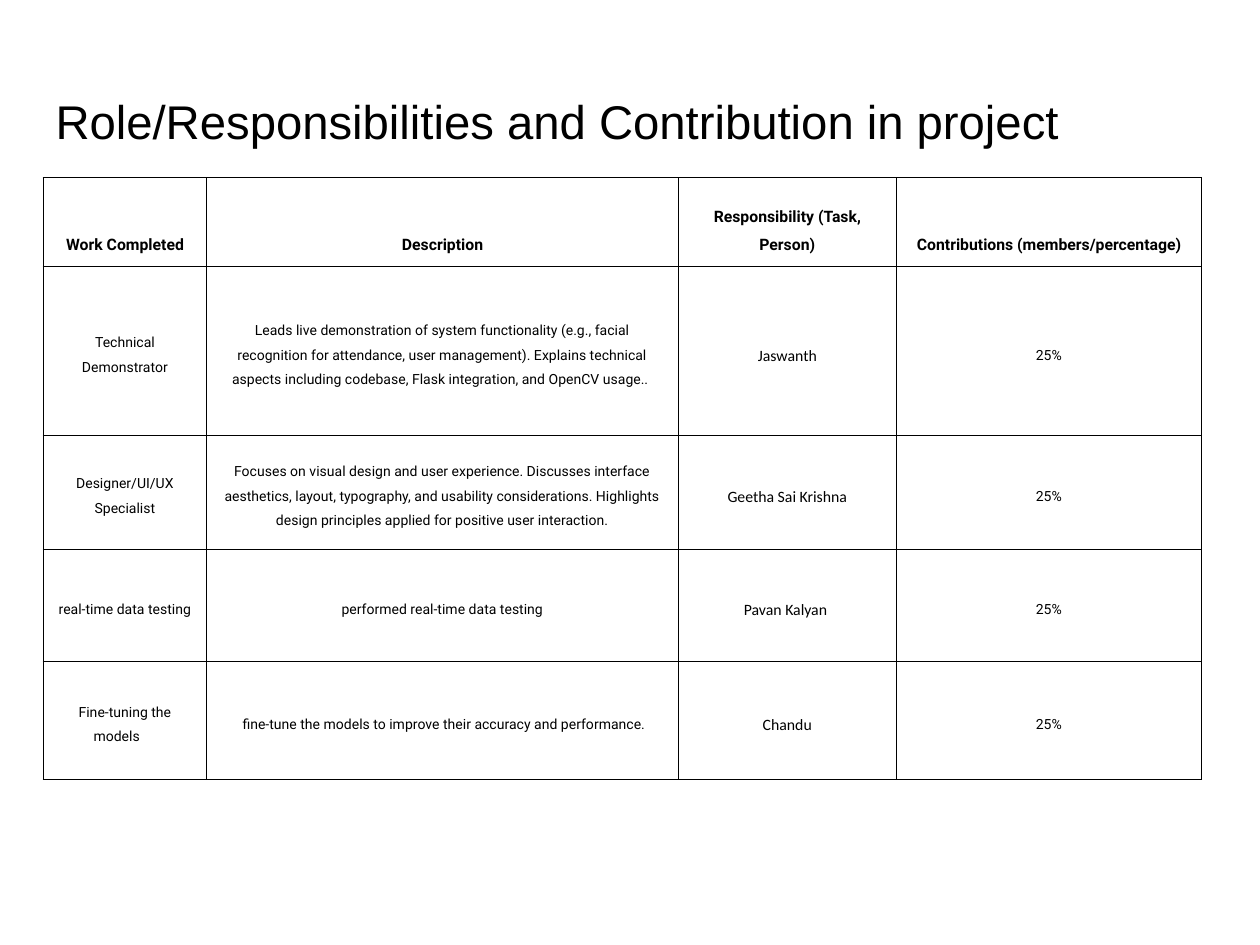
from lxml import etree
from pptx import Presentation, util as u
from pptx.dml.color import RGBColor
from pptx.enum import text
from pptx.oxml import ns

BLACK = RGBColor(0, 0, 0)
INSET = u.Cm(0.25)
SIDES = ("left", "right", "top", "bottom")

TITLE = dict(name="Arial", size=u.Pt(27), bold=False)
HEADER = dict(name="Roboto", size=u.Pt(9), bold=True)
BODY = dict(name="Roboto", size=u.Pt(8), bold=False)
PERSON = dict(name="Calibri", size=u.Pt(9), bold=False)

COLUMN_WIDTHS = (3.3, 9.5, 4.4, 6.15)
ROW_HEIGHTS = (1.8, 3.4, 2.29, 2.26, 2.39)
HEADINGS = ("Work Completed", "Description", "Responsibility (Task, Person)",
            "Contributions (members/percentage)")
ROLES = (
    ("Technical Demonstrator",
     "Leads live demonstration of system functionality (e.g., facial recognition for "
     "attendance, user management). Explains technical aspects including codebase, "
     "Flask integration, and OpenCV usage.. ",
     "Jaswanth", "25%"),
    ("Designer/UI/UX Specialist",
     "Focuses on visual design and user experience. Discusses interface aesthetics, "
     "layout, typography, and usability considerations. Highlights design principles "
     "applied for positive user interaction.",
     "Geetha Sai Krishna", "25%"),
    ("real-time data testing", "performed real-time data testing", "Pavan Kalyan ", "25%"),
    ("Fine-tuning the models\t",
     " fine-tune the models to improve their accuracy and performance.",
     "Chandu", "25%"),
)


class SlideBuilder:
    """Draws styled elements on the current slide."""

    def __init__(self, slide, color=BLACK, border=u.Pt(0.75)):
        self.slide = slide
        self.color = color
        self.border = border

    def wording(self, frame, words, style, spacing, align):
        paragraph = frame.paragraphs[0]
        paragraph.alignment = align
        paragraph.line_spacing = spacing
        run = paragraph.add_run()
        run.text = words
        for key, value in style.items():
            setattr(run.font, key, value)
        run.font.color.rgb = self.color

    def title(self, words, left, top, width, height):
        frame = self.slide.shapes.add_textbox(left, top, width, height).text_frame
        frame.word_wrap = True
        for side in SIDES:
            setattr(frame, f"margin_{side}", INSET)
        self.wording(frame, words, TITLE, 0.9, text.PP_ALIGN.LEFT)

    def outline(self, cell):
        properties = cell._tc.get_or_add_tcPr()
        for side in SIDES:
            line = etree.SubElement(properties, ns.qn(f"a:ln{side[0].upper()}"),
                                    w=str(int(self.border)))
            fill = etree.SubElement(line, ns.qn("a:solidFill"))
            etree.SubElement(fill, ns.qn("a:srgbClr"), val=str(self.color))

    def cell(self, cell, words, style, anchor, inset):
        self.outline(cell)
        cell.fill.background()
        cell.vertical_anchor = anchor
        for side in SIDES:
            setattr(cell, f"margin_{side}", inset)
        self.wording(cell.text_frame, words, style, 1.5, text.PP_ALIGN.CENTER)

    def role_table(self, left, top):
        widths = [u.Cm(width) for width in COLUMN_WIDTHS]
        heights = [u.Cm(height) for height in ROW_HEIGHTS]
        table = self.slide.shapes.add_table(
            len(heights), len(widths), left, top, sum(widths), sum(heights)).table
        table.first_row = table.horz_banding = False
        for column, width in zip(table.columns, widths):
            column.width = width
        for row, height in zip(table.rows, heights):
            row.height = height
        for index, heading in enumerate(HEADINGS):
            self.cell(table.cell(0, index), heading, HEADER, text.MSO_ANCHOR.BOTTOM, INSET)
        for number, role in enumerate(ROLES, 1):
            for index, (words, style) in enumerate(zip(role, (BODY, BODY, PERSON, BODY))):
                inset = 0 if (number, index) == (2, 1) else INSET
                self.cell(table.cell(number, index), words, style,
                          text.MSO_ANCHOR.MIDDLE, inset)


def main():
    deck = Presentation()
    deck.slide_width, deck.slide_height = u.Cm(25.4), u.Cm(19.05)
    builder = SlideBuilder(deck.slides.add_slide(deck.slide_layouts[6]))
    builder.title("Role/Responsibilities and Contribution in project",
                  u.Cm(0.87), u.Cm(1.73), u.Cm(23.67), u.Cm(1.6))
    builder.role_table(u.Cm(0.87), u.Cm(3.58))
    deck.save("out.pptx")


if __name__ == "__main__":
    main()
